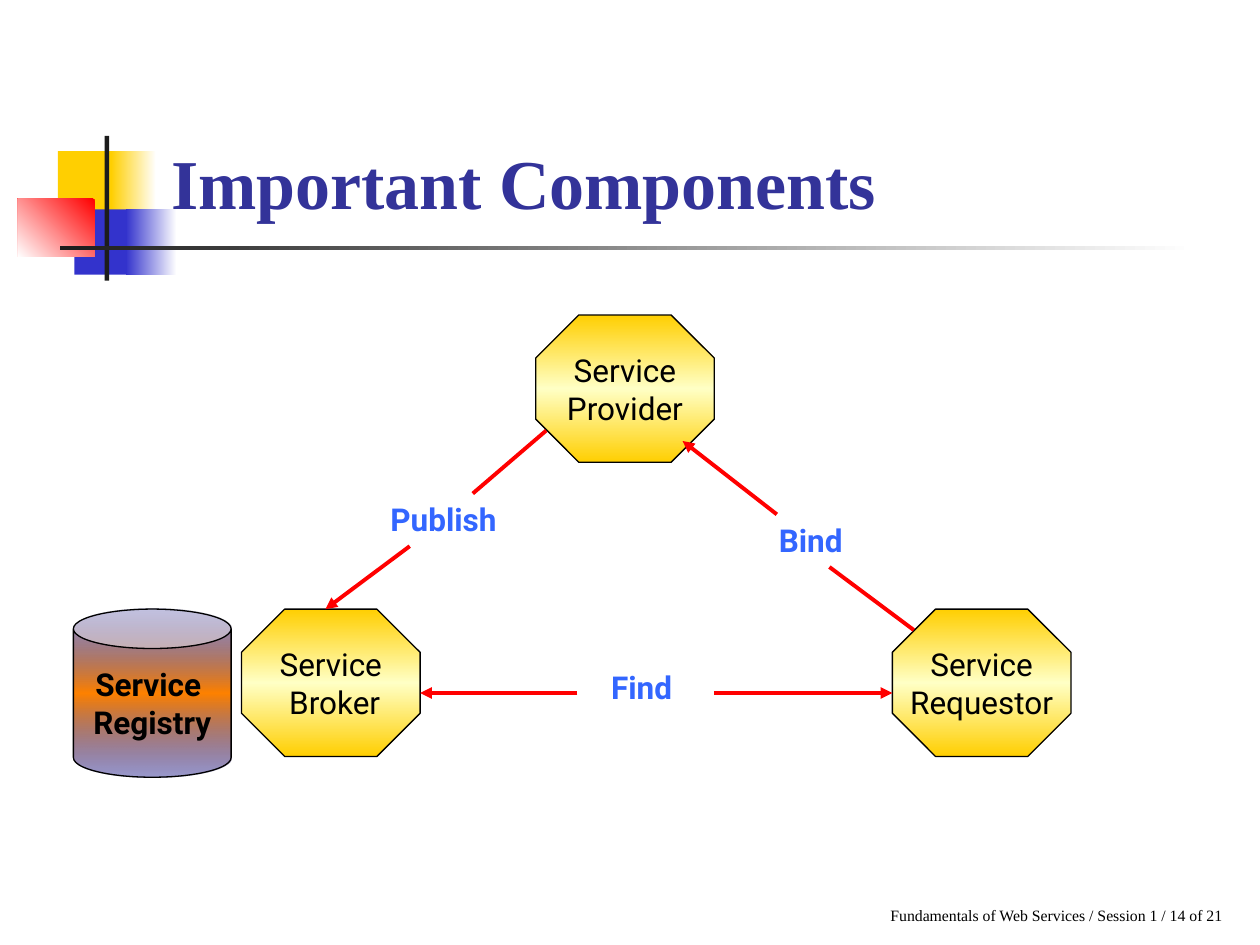
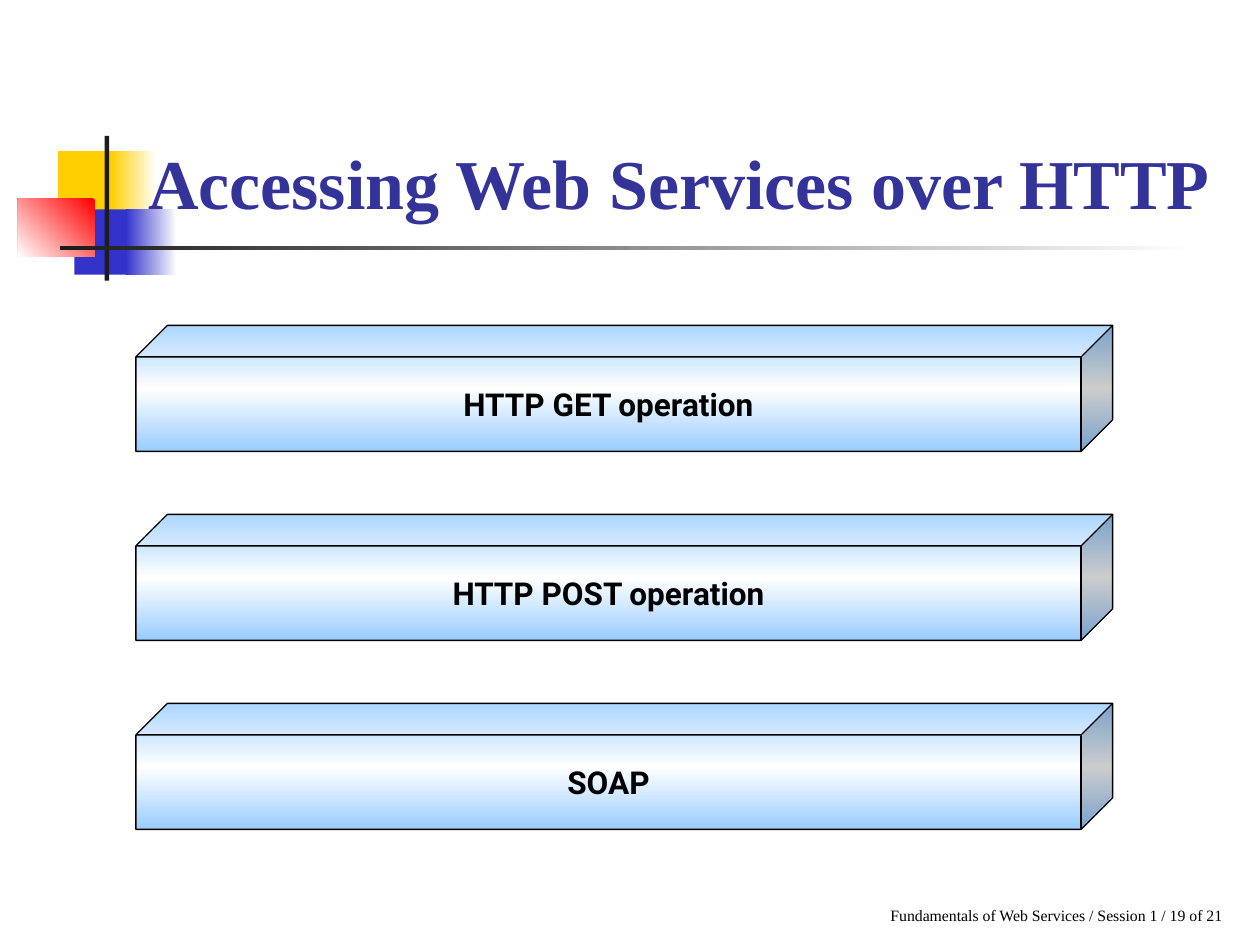
from dataclasses import dataclass
from typing import NamedTuple, Optional

from lxml import etree
from pptx import Presentation, util as u
from pptx.dml.color import RGBColor
from pptx.enum import shapes, text
from pptx.oxml.ns import qn

Preset = shapes.MSO_SHAPE
Align = text.PP_ALIGN
Anchor = text.MSO_ANCHOR


@dataclass(frozen=True)
class Theme:
    yellow: str = "FFCF01"
    pale_yellow: str = "FFFFC5"
    blue: str = "3333CC"
    sky: str = "99CCFF"
    navy: str = "000082"
    orange: str = "FF8200"
    red: str = "FF0000"
    white: str = "FFFFFF"
    black: str = "000000"
    rule: str = "1C1C1C"
    title: str = "333399"
    label: str = "3366FF"
    serif: str = "Times New Roman"
    sans: str = "Roboto"
    title_size: float = 40
    body_size: float = 18
    footer_size: float = 9
    outline: float = 0.75
    arrow: float = 2.25


THEME = Theme()


class Frame(NamedTuple):
    """Left, top, width and height in centimetres."""
    left: float
    top: float
    width: float
    height: float

    def lengths(self) -> list:
        return [u.Cm(value) for value in self]


@dataclass(frozen=True)
class Paint:
    """A plain colour, or a gradient of evenly spaced colours turned clockwise."""
    colours: tuple
    angle: int = 90
    end_alpha: Optional[int] = None


@dataclass(frozen=True)
class Block:
    frame: Frame
    paint: Paint
    lines: tuple = ()
    preset: Preset = Preset.RECTANGLE
    adjustment: Optional[float] = None
    bold: bool = False


class Arrow(NamedTuple):
    start: tuple
    end: tuple
    head: bool = True


class Label(NamedTuple):
    words: str
    frame: Frame


def fade_right(colour: str) -> Paint:
    return Paint((THEME.white, colour), 180)


GOLD = Paint((THEME.yellow, THEME.pale_yellow, THEME.yellow))
ICE = Paint((THEME.sky, THEME.white, THEME.sky))
RUST = Paint((THEME.navy, THEME.orange, THEME.navy), end_alpha=39)

DECORATION = (
    Block(Frame(1.17, 3.05, 1.22, 1.32), Paint((THEME.yellow,))),
    Block(Frame(2.24, 3.05, 0.91, 1.32), fade_right(THEME.yellow)),
    Block(Frame(1.5, 4.22, 1.17, 1.32), Paint((THEME.blue,))),
    Block(Frame(2.54, 4.22, 1.02, 1.32), fade_right(THEME.blue)),
    Block(Frame(0.36, 4.01, 1.55, 1.17), Paint((THEME.red, THEME.white), 135)),
    Block(Frame(2.11, 2.74, 0.09, 2.92), Paint((THEME.rule,))),
    Block(Frame(1.22, 4.95, 22.86, 0.09), fade_right(THEME.rule)),
)
FOOTER_FRAME = Frame(17.7, 18.14, 8.23, 0.64)
TITLE_RIGHT = 24.84


def role(left: float, top: float, *lines: str) -> Block:
    return Block(Frame(left, top, 3.6, 2.97), GOLD, lines, Preset.OCTAGON, 0.293)


LOWER_ROW = 12.28
COMPONENTS = (
    role(4.87, LOWER_ROW, "Service", " Broker"),
    role(17.99, LOWER_ROW, "Service", "Requestor"),
    role(10.8, 6.35, "Service", "Provider"),
    Block(Frame(1.48, LOWER_ROW, 3.18, 3.39), RUST, ("Service ", "Registry"),
          Preset.CAN, 0.25, bold=True),
)
ARROWS = (
    Arrow((11.64, 13.97), (8.47, 13.97)),
    Arrow((14.39, 13.97), (17.99, 13.97)),
    Arrow((8.26, 11.01), (6.56, LOWER_ROW)),
    Arrow((11.01, 8.68), (9.53, 9.95), head=False),
    Arrow((18.42, 12.7), (16.72, 11.43), head=False),
    Arrow((15.66, 10.37), (13.76, 8.89)),
)
LABELS = (
    Label("Publish", Frame(7.62, 9.95, 3.6, 1.02)),
    Label("Find", Frame(12.07, 13.34, 2.97, 1.02)),
    Label("Bind", Frame(15.45, 10.37, 3.81, 1.02)),
)
OPERATIONS = ("HTTP GET operation", "HTTP POST operation", "SOAP")


def write(box, *lines: str, size: float = THEME.body_size, font: str = THEME.sans,
          colour: str = THEME.black, bold: bool = False, align: Align = Align.LEFT,
          anchor: Anchor = Anchor.TOP, wrap: bool = True) -> None:
    frame = box.text_frame
    frame.word_wrap = wrap
    frame.vertical_anchor = anchor
    for index, line in enumerate(lines):
        para = frame.add_paragraph() if index else frame.paragraphs[0]
        para.alignment = align
        span = para.add_run()
        span.text = line
        span.font.size = u.Pt(size)
        span.font.name = font
        span.font.bold = bold
        span.font.color.rgb = RGBColor.from_string(colour)


def add_text(page, frame: Frame, words: str, **style) -> None:
    write(page.shapes.add_textbox(*frame.lengths()), words, **style)


def apply_paint(shape, paint: Paint) -> None:
    if len(paint.colours) == 1:
        shape.fill.solid()
        shape.fill.fore_color.rgb = RGBColor.from_string(paint.colours[0])
        return
    shape.fill.gradient()
    shape.fill.gradient_angle = -paint.angle % 360
    stops = shape.element.spPr.find(qn("a:gradFill")).find(qn("a:gsLst"))
    for stop in list(stops):
        stops.remove(stop)
    last = len(paint.colours) - 1
    for index, value in enumerate(paint.colours):
        stop = etree.SubElement(stops, qn("a:gs"), pos=str(100000 * index // last))
        colour = etree.SubElement(stop, qn("a:srgbClr"), val=value)
        if paint.end_alpha is not None and index in (0, last):
            etree.SubElement(colour, qn("a:alpha"), val=str(paint.end_alpha * 1000))


def add_block(page, block: Block) -> None:
    """Draw a filled shape; only shapes with text get an outline."""
    shape = page.shapes.add_shape(block.preset, *block.frame.lengths())
    shape.shadow.inherit = False
    if block.adjustment is not None:
        shape.adjustments[0] = block.adjustment
    apply_paint(shape, block.paint)
    if not block.lines:
        shape.line.fill.background()
        return
    shape.line.color.rgb = RGBColor.from_string(THEME.black)
    shape.line.width = u.Pt(THEME.outline)
    write(shape, *block.lines, bold=block.bold, align=Align.CENTER,
          anchor=Anchor.MIDDLE, wrap=False)


def add_arrow(page, arrow: Arrow) -> None:
    ends = [u.Cm(value) for value in arrow.start + arrow.end]
    line = page.shapes.add_connector(shapes.MSO_CONNECTOR.STRAIGHT, *ends)
    line.line.color.rgb = RGBColor.from_string(THEME.red)
    line.line.width = u.Pt(THEME.arrow)
    properties = line.element.spPr
    if arrow.head:
        etree.SubElement(properties.find(qn("a:ln")), qn("a:tailEnd"), type="triangle")
    etree.SubElement(properties, qn("a:effectLst"))


def add_page(deck, title: str, number: int, title_left: float):
    """Add a slide with the shared decoration, footer and title."""
    page = deck.slides.add_slide(deck.slide_layouts[6])
    for block in DECORATION:
        add_block(page, block)
    add_text(page, FOOTER_FRAME,
             f"Fundamentals of Web Services / Session 1 / {number} of 21",
             size=THEME.footer_size, font=THEME.serif, wrap=False)
    add_text(page, Frame(title_left, 0.58, TITLE_RIGHT - title_left, 4.06), title,
             size=THEME.title_size, font=THEME.serif, colour=THEME.title,
             bold=True, anchor=Anchor.BOTTOM)
    return page


def add_components_page(deck) -> None:
    page = add_page(deck, "Important Components", 14, title_left=3.2)
    for block in COMPONENTS:
        add_block(page, block)
    for arrow in ARROWS:
        add_arrow(page, arrow)
    for label in LABELS:
        add_text(page, label.frame, label.words, colour=THEME.label, bold=True)


def add_http_page(deck) -> None:
    page = add_page(deck, "Accessing Web Services over HTTP", 19, title_left=2.74)
    for index, operation in enumerate(OPERATIONS):
        frame = Frame(2.74, 6.56 + 3.81 * index, 19.69, 2.54)
        add_block(page, Block(frame, ICE, (operation,), Preset.CUBE, 0.25, bold=True))


def main() -> None:
    deck = Presentation()
    deck.slide_width, deck.slide_height = u.Cm(25.4), u.Cm(19.05)
    add_components_page(deck)
    add_http_page(deck)
    deck.save("out.pptx")


if __name__ == "__main__":
    main()
